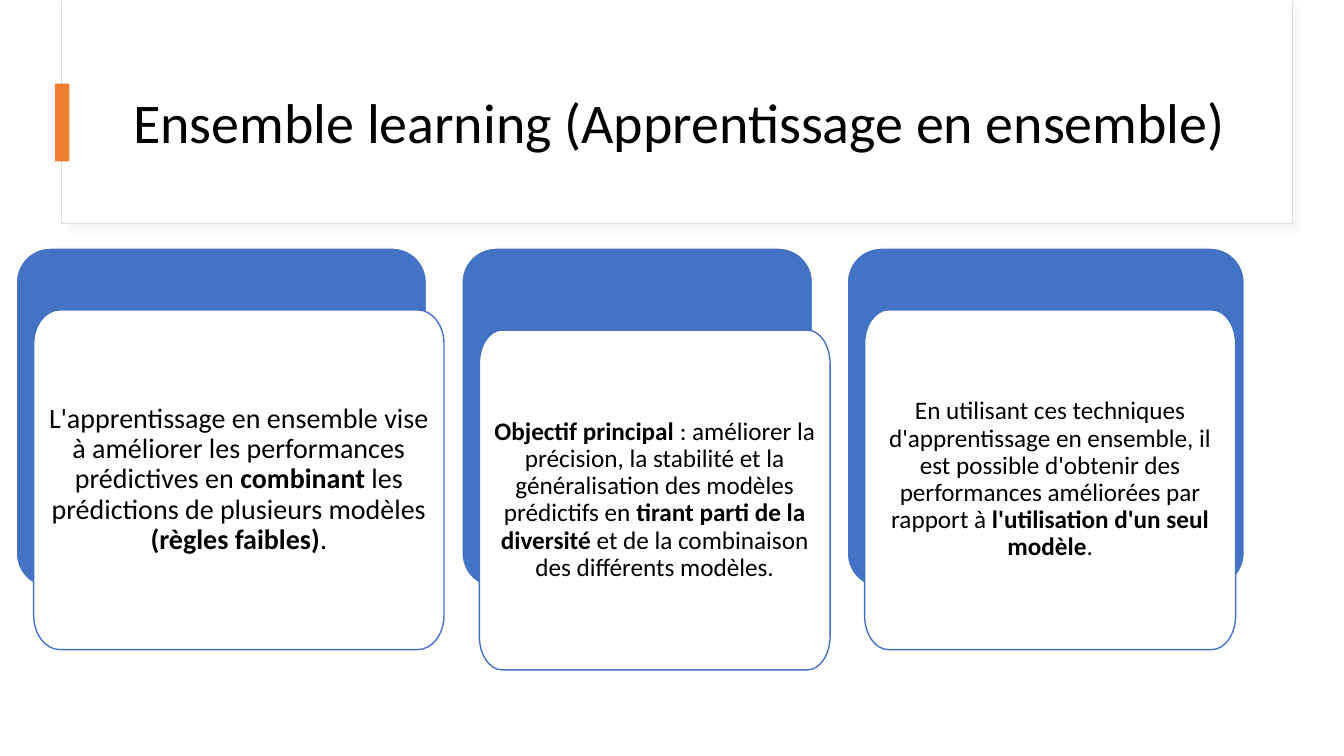
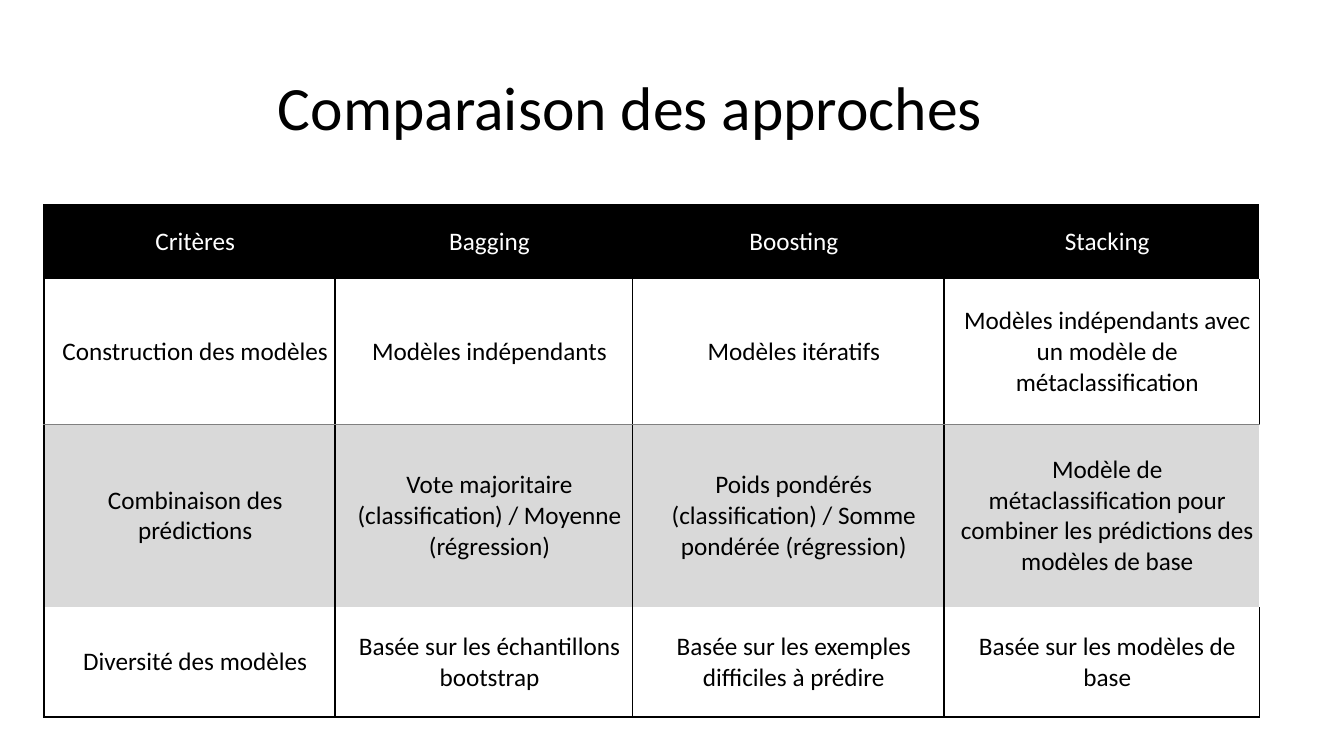
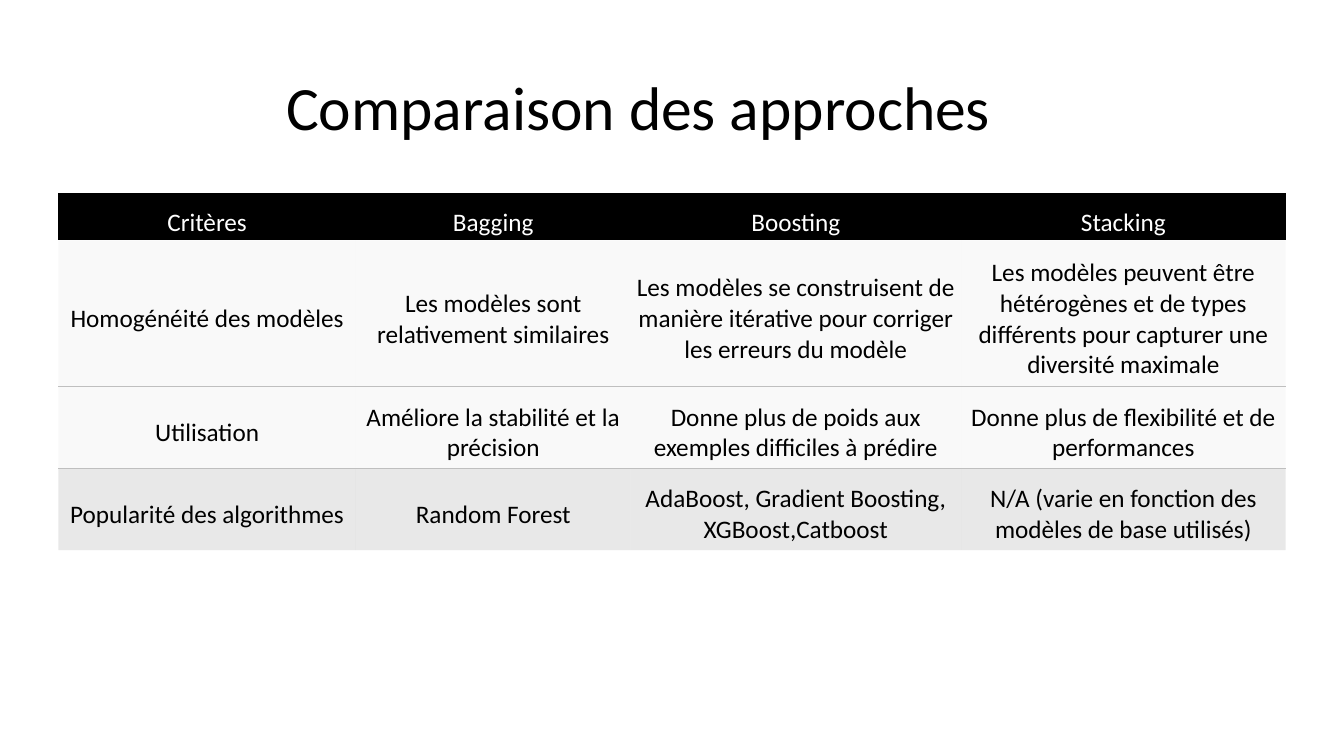
from lxml import etree
from pptx import Presentation
from pptx import util as u
from pptx.dml.color import RGBColor
from pptx.enum import shapes, text
from pptx.oxml.ns import qn

FONT = "Calibri"
COLORS = {
    "black": "000000", "white": "FFFFFF", "blue": "4472C4", "orange": "ED7D31",
    "frame": "DEDEDE", "shadow": "D9D9D9", "band": "D9D9D9", "rule": "808080",
    "pale": "F2F2F2", "silver": "BFBFBF",
}
NO_STYLE = "{2D5ABB26-0587-4C30-8999-92F81FD0307C}"
HEADINGS = ["Critères", "Bagging", "Boosting", "Stacking"]
CARD_TOP, CARD_HEIGHT, CARD_SHIFT = 6.25, 8.56, 0.44

# back left, back width, front top, front width, text size, spans (text, bold)
CARDS = [
    (0.41, 10.34, 7.81, 10.34, 20, [
        ("L'apprentissage en ensemble vise à améliorer les performances prédictives en ", False),
        ("combinant", True),
        (" les prédictions de plusieurs modèles ", False),
        ("(règles faibles)", True),
        (".", False)]),
    (11.64, 8.84, 8.32, 8.84, 18, [
        ("Objectif principal ", True),
        (": améliorer la précision, la stabilité et la généralisation des modèles prédictifs en ", False),
        ("tirant parti de la diversité ", True),
        ("et de la combinaison des différents modèles.", False)]),
    (21.35, 10.01, 7.81, 9.35, 18, [
        ("En utilisant ces techniques d'apprentissage en ensemble, il est possible d'obtenir "
         "des performances améliorées par rapport à ", False),
        ("l'utilisation d'un seul modèle", True),
        (".", False)]),
]

CONSTRUCTION = [
    HEADINGS,
    ["Construction des modèles", "Modèles indépendants", "Modèles itératifs",
     "Modèles indépendants avec un modèle de métaclassification"],
    ["Combinaison des prédictions", "Vote majoritaire (classification) / Moyenne (régression)",
     "Poids pondérés (classification) / Somme pondérée (régression)",
     "Modèle de métaclassification pour combiner les prédictions des modèles de base"],
    ["Diversité des modèles", "Basée sur les échantillons bootstrap",
     "Basée sur les exemples difficiles à prédire", "Basée sur les modèles de base"],
]
USAGE = [
    HEADINGS,
    ["Homogénéité des modèles", "Les modèles sont relativement similaires",
     "Les modèles se construisent de manière itérative pour corriger les erreurs du modèle",
     "Les modèles peuvent être hétérogènes et de types différents pour capturer une diversité maximale"],
    ["Utilisation", "Améliore la stabilité et la précision",
     "Donne plus de poids aux exemples difficiles à prédire",
     "Donne plus de flexibilité et de performances"],
    ["Popularité des algorithmes", "Random Forest",
     "AdaBoost, Gradient Boosting, XGBoost,Catboost",
     "N/A (varie en fonction des modèles de base utilisés)"],
]


def rgb(name):
    return RGBColor.from_string(COLORS[name])


def add_page(deck):
    return deck.slides.add_slide(deck.slide_layouts[6])


def set_alpha(color_xml, percent):
    etree.SubElement(color_xml, qn("a:alpha")).set("val", str(percent * 1000))


def paint_cell(cell, color, opacity=100):
    cell.fill.solid()
    cell.fill.fore_color.rgb = rgb(color)
    if opacity < 100:
        set_alpha(cell._tc.tcPr.find(qn("a:solidFill"))[0], opacity)


def style_span(span, size, color="black", bold=False):
    span.font.name = FONT
    span.font.size = u.Pt(size)
    span.font.color.rgb = rgb(color)
    span.font.bold = bold


def finish_shape(shape, fill, line=None, width=1):
    shape.shadow.inherit = False
    shape.fill.solid()
    shape.fill.fore_color.rgb = rgb(fill)
    if line:
        shape.line.color.rgb = rgb(line)
        shape.line.width = u.Pt(width)
    else:
        shape.line.fill.background()
    return shape


def add_box(page, area, fill, line=None, width=1, kind=shapes.MSO_SHAPE.RECTANGLE):
    box = page.shapes.add_shape(kind, *map(u.Cm, area))
    return finish_shape(box, fill, line, width)


def add_soft_shadow(box):
    effects = box._element.spPr.find(qn("a:effectLst"))
    shadow = etree.SubElement(effects, qn("a:outerShdw"))
    for key, value in (("blurRad", u.Pt(4)), ("dist", u.Pt(6)), ("dir", 45 * 60000)):
        shadow.set(key, str(int(value)))
    color = etree.SubElement(shadow, qn("a:srgbClr"))
    color.set("val", COLORS["shadow"])
    set_alpha(color, 20)


def add_title(page, area, words, size, align):
    box = page.shapes.add_textbox(*map(u.Cm, area))
    frame = box.text_frame
    frame.word_wrap = True
    frame.vertical_anchor = text.MSO_ANCHOR.MIDDLE
    frame.text = words
    para = frame.paragraphs[0]
    para.alignment = align
    para.line_spacing = 0.9
    style_span(para.runs[0], size)


def add_rounded_outline(page, left, top, width, height):
    """Rectangle with quarter-ellipse corners, each one cubic curve."""
    rx, ry, pull = width * 0.064, height * 0.1, 0.55
    right, bottom = left + width, top + height
    corners = [  # corner point, curve start, curve end
        ((left, top), (left, top + ry), (left + rx, top)),
        ((right, top), (right - rx, top), (right, top + ry)),
        ((right, bottom), (right, bottom - ry), (right - rx, bottom)),
        ((left, bottom), (left + rx, bottom), (left, bottom - ry)),
    ]

    def toward(point, corner):
        return tuple(p + pull * (c - p) for p, c in zip(point, corner))

    points = []
    for corner, start, end in corners:
        points += [start, toward(start, corner), toward(end, corner), end]
    points = [(u.Cm(x), u.Cm(y)) for x, y in points]
    builder = page.shapes.build_freeform(*points[0])
    builder.add_line_segments(points[1:], close=True)
    outline = builder.convert_to_shape()

    lines = list(outline._element.spPr.iter(qn("a:lnTo")))
    for first in range(0, 4 * len(corners), 4):
        curve = etree.Element(qn("a:cubicBezTo"))
        lines[first].addprevious(curve)
        for line in lines[first:first + 3]:
            curve.append(line[0])
            line.getparent().remove(line)
    return outline


def add_card(page, left, back_width, top, width, size, spans):
    back = add_box(page, (left, CARD_TOP, back_width, CARD_HEIGHT), "blue", "white",
                   kind=shapes.MSO_SHAPE.ROUNDED_RECTANGLE)
    back.adjustments[0] = 0.1

    front = add_rounded_outline(page, left + CARD_SHIFT, top, width, CARD_HEIGHT)
    finish_shape(front, "white", "blue")
    frame = front.text_frame
    frame.word_wrap = True
    frame.vertical_anchor = text.MSO_ANCHOR.MIDDLE
    frame.margin_left = frame.margin_right = u.Cm(0.34)
    frame.margin_top = frame.margin_bottom = u.Cm(0.38)
    para = frame.paragraphs[0]
    para.alignment = text.PP_ALIGN.CENTER
    para.line_spacing = 0.9
    for words, bold in spans:
        span = para.add_run()
        span.text = words
        style_span(span, size, bold=bold)


def set_borders(cell, borders):
    """Draw the sides named in borders (L, R, T, B) and hide the others."""
    properties = cell._tc.get_or_add_tcPr()
    for side in "LRTB":
        line = etree.SubElement(properties, qn("a:ln" + side))
        if side in borders:
            color, width = borders[side]
            line.set("w", str(int(u.Pt(width))))
            fill = etree.SubElement(line, qn("a:solidFill"))
            etree.SubElement(fill, qn("a:srgbClr")).set("val", COLORS[color])
        else:
            etree.SubElement(line, qn("a:noFill"))


def fill_cell(cell, words, color, margins):
    cell.margin_left, cell.margin_top, cell.margin_right, cell.margin_bottom = map(u.Cm, margins)
    cell.vertical_anchor = text.MSO_ANCHOR.MIDDLE
    cell.text_frame.text = words
    para = cell.text_frame.paragraphs[0]
    para.alignment = text.PP_ALIGN.CENTER
    style_span(para.runs[0], 18, color)


def add_comparison(page, corner, widths, heights, rows, margins, fills, borders_at):
    """Add a table; fills gives (colour, opacity) or None for each row."""
    area = (*corner, sum(widths), sum(heights))
    table = page.shapes.add_table(len(rows), len(widths), *map(u.Cm, area)).table
    table._tbl.tblPr.find(qn("a:tableStyleId")).text = NO_STYLE
    table.horz_banding = False
    for column, width in zip(table.columns, widths):
        column.width = u.Cm(width)
    for r, (row, height) in enumerate(zip(table.rows, heights)):
        row.height = u.Cm(height)
        for c, cell in enumerate(row.cells):
            fill_cell(cell, rows[r][c], "black" if r else "white", margins)
            set_borders(cell, borders_at(r, c))
            if fills[r]:
                paint_cell(cell, *fills[r])
            else:
                cell.fill.background()


def grid_borders(r, c):
    black, thin = ("black", 1.5), ("rule", 0.5)
    if r == 0:
        return {"T": black, "L": black} if c == 0 else {"T": black}
    borders = {"L": black, "R": black}
    if r == 1:
        borders["B"] = thin
    elif r == 2:
        borders["T"] = thin
        if c == 3:
            del borders["R"]
    else:
        borders["B"] = black
    return borders


def rule_borders(r, c):
    line = ("silver", 1)
    return [{}, {"B": line}, {"T": line, "B": line}, {"T": line}][r]


def build_definition(deck):
    page = add_page(deck)
    frame = add_box(page, (1.56, 0.03, 31.01, 5.61), "white", "frame", 0.75)
    add_soft_shadow(frame)
    add_box(page, (1.58, 0, 30.97, 5.6), "white")
    add_title(page, (3.11, 1.52, 28.24, 3.28), "Ensemble learning (Apprentissage en ensemble)",
              40, text.PP_ALIGN.LEFT)
    add_box(page, (1.39, 2.11, 0.36, 1.96), "orange")
    for card in CARDS:
        add_card(page, *card)


def build_comparison(deck, title_left, title_width, **table):
    page = add_page(deck)
    add_title(page, (title_left, 0.97, title_width, 3.63), "Comparaison des approches",
              44, text.PP_ALIGN.CENTER)
    add_comparison(page, **table)


def main():
    deck = Presentation()
    deck.slide_width, deck.slide_height = u.Cm(33.87), u.Cm(19.05)
    build_definition(deck)
    build_comparison(
        deck, 0.36, 31.06, corner=(1.11, 5.17), widths=(7.34, 7.49, 7.85, 7.95),
        heights=(1.85, 3.68, 4.6, 2.77), rows=CONSTRUCTION, margins=(0.41, 0.33, 0.13, 0.33),
        fills=[("black",), None, ("band",), None], borders_at=grid_borders)
    build_comparison(
        deck, 2.33, 27.53, corner=(1.47, 4.87), widths=(7.5, 6.92, 8.33, 8.18),
        heights=(1.19, 3.68, 2.06, 2.06), rows=USAGE, margins=(0.13, 0.33, 0.13, 0.05),
        fills=[("black",), ("pale", 45), ("pale", 45), ("silver", 35)], borders_at=rule_borders)
    deck.save("out.pptx")


if __name__ == "__main__":
    main()
